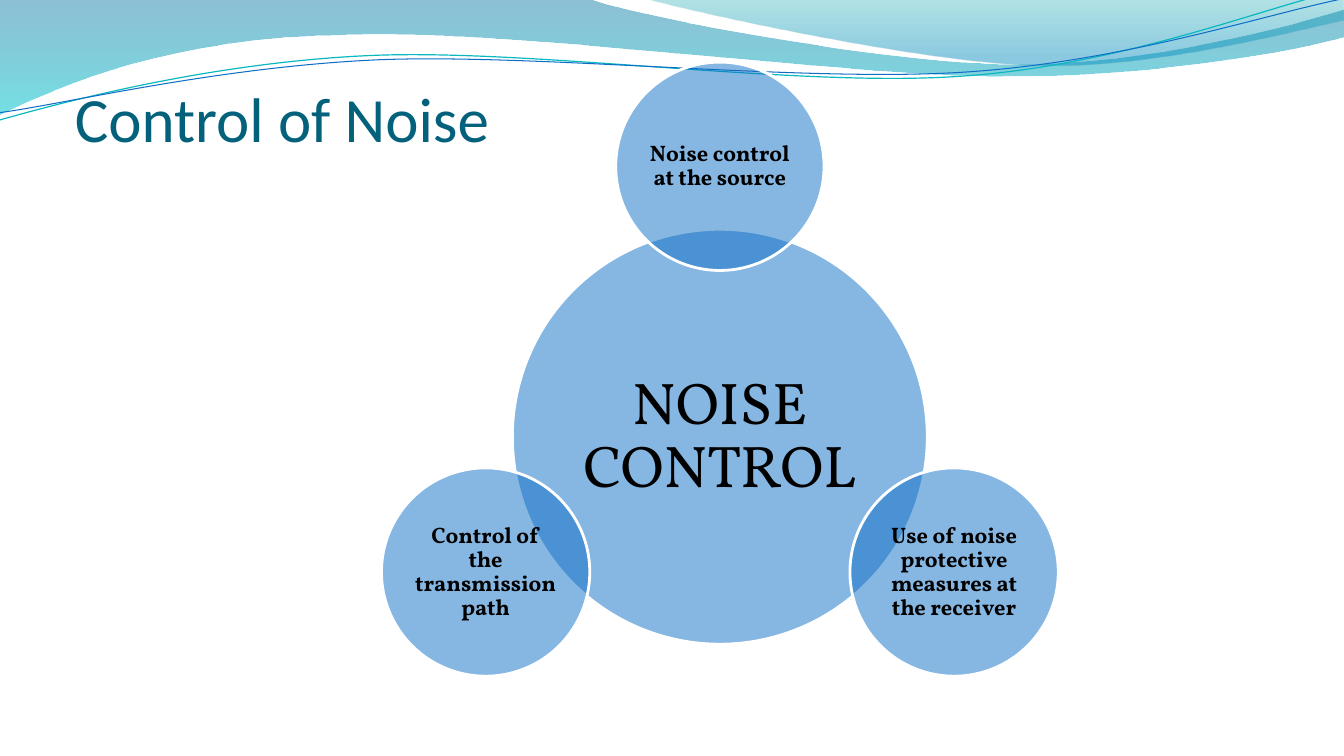
import math
from dataclasses import dataclass

import lxml.etree
import pptx
import pptx.dml.color
import pptx.enum.shapes
import pptx.enum.text
import pptx.oxml
import pptx.oxml.ns
import pptx.shapes.autoshape
import pptx.slide
import pptx.text.text
import pptx.util

WIDTH, HEIGHT = pptx.util.Inches(13.333), pptx.util.Inches(7.5)
COLS = 16
CELL = WIDTH / COLS

COLORS = {
    "title": "04617B", "text": "000000", "blue": "0F6FC6", "white": "FFFFFF",
    "teal": "0AB8BF", "wave_top": "0074A1", "wave_low": "00C6CF",
    "crest_top": "00A1A9", "crest_low": "008BBF",
}

Point = tuple[float, float]


@dataclass(frozen=True)
class Stop:
    position: int
    color: str
    opacity: int


@dataclass(frozen=True)
class Wave:
    start: Point
    segments: list[tuple[float, ...]]
    stops: tuple[Stop, ...] = ()
    line: str = ""
    weight: float = 0


@dataclass(frozen=True)
class Circle:
    text: str
    radius: float
    distance: float
    angle: float
    size: float
    bold: bool
    inset: float


WAVES = [
    Wave((0, 0), [
        (7.04, -0.01), (7.61, 0.2, 10.62, 0.76, 12.13, 0.76),
        (13.66, 0.76, 15.34, 0.31, 16, 0.11), (16.02, 0.43),
        (15.73, 0.53, 13.92, 0.91, 11.93, 0.9),
        (9.95, 0.9, 6.11, 0.34, 4.12, 0.41),
        (2.06, 0.43, 0.73, 1, -0.01, 1.36),
    ], stops=(Stop(0, "wave_top", 45), Stop(100, "wave_low", 55))),
    Wave((7.67, -0.01), [
        (8.15, 0.13, 10.91, 0.74, 12.3, 0.78),
        (13.69, 0.83, 15.38, 0.38, 16, 0.25), (16, 0),
    ], stops=(Stop(0, "crest_top", 30), Stop(80, "crest_low", 45))),
    Wave((-0.01, 1.43), [
        (0.77, 1.21, 2.53, 0.74, 4.43, 0.66),
        (6.32, 0.58, 9.48, 1.04, 11.4, 0.91),
        (13.32, 0.79, 15.02, 0.1, 15.97, -0.12),
    ], line="teal", weight=0.85),
    Wave((0, 1.34), [
        (0.76, 1.24, 2.62, 0.79, 4.54, 0.71),
        (6.44, 0.64, 9.55, 0.98, 11.46, 0.86),
        (13.38, 0.74, 15.06, 0.17, 16.01, -0.02),
    ], line="blue", weight=0.75),
]

CENTER: Point = (8.57, 5.2)
HUB, SATELLITE, ORBIT = 2.47, 1.24, 3.22
CIRCLES = [
    Circle("NOISE CONTROL", HUB, 0, 0, 42, False, 0.07),
    Circle("Noise control at the source", SATELLITE, ORBIT, -90, 16, True, 0.02),
    Circle("Use of noise protective measures at the receiver",
           SATELLITE, ORBIT, 30, 16, True, 0.02),
    Circle("Control of the transmission path", SATELLITE, ORBIT, 150, 16, True, 0.02),
]


def grid(cells: float) -> int:
    return round(cells * CELL)


def rgb(name: str) -> pptx.dml.color.RGBColor:
    return pptx.dml.color.RGBColor.from_string(COLORS[name])


def set_text(tf: pptx.text.text.TextFrame, text: str, *, font: str, size: float,
             color: str, bold: bool = False, align: str = "CENTER",
             anchor: str = "MIDDLE", spacing: float = 1.0,
             insets: tuple[float, float] = (0, 0)) -> None:
    tf.word_wrap = True
    tf.auto_size = pptx.enum.text.MSO_AUTO_SIZE.NONE
    tf.vertical_anchor = pptx.enum.text.MSO_ANCHOR[anchor]
    tf.margin_left = tf.margin_right = grid(insets[0])
    tf.margin_top = tf.margin_bottom = grid(insets[1])
    p = tf.paragraphs[0]
    p.alignment = pptx.enum.text.PP_ALIGN[align]
    p.line_spacing = spacing
    r = p.add_run()
    r.text = text
    r.font.name = font
    r.font.size = pptx.util.Pt(size)
    r.font.bold = bold
    r.font.color.rgb = rgb(color)


def bend_segments(sp: pptx.shapes.autoshape.Shape, wave: Wave) -> None:
    lines = iter(sp.element.spPr.findall(".//" + pptx.oxml.ns.qn("a:lnTo")))
    for segment in wave.segments:
        first, *rest = [next(lines) for _ in range(len(segment) // 2)]
        if not rest:
            continue
        curve = lxml.etree.Element(pptx.oxml.ns.qn("a:cubicBezTo"))
        first.addprevious(curve)
        for line in (first, *rest):
            curve.append(line[0])
            line.getparent().remove(line)


def set_gradient(sp: pptx.shapes.autoshape.Shape, stops: tuple[Stop, ...]) -> None:
    sp.fill.gradient()
    gradient = sp.element.spPr.find(pptx.oxml.ns.qn("a:gradFill"))
    items = "".join(
        f'<a:gs pos="{stop.position * 1000}"><a:srgbClr val="{COLORS[stop.color]}">'
        f'<a:alpha val="{stop.opacity * 1000}"/></a:srgbClr></a:gs>' for stop in stops)
    gradient.getparent().replace(gradient, pptx.oxml.parse_xml(
        f'<a:gradFill {pptx.oxml.ns.nsdecls("a")} rotWithShape="1">'
        f'<a:gsLst>{items}</a:gsLst><a:lin ang="5400000" scaled="0"/></a:gradFill>'))


def draw_wave(s: pptx.slide.Slide, wave: Wave) -> None:
    points = [(grid(x), grid(y)) for segment in wave.segments
              for x, y in zip(segment[::2], segment[1::2])]
    builder = s.shapes.build_freeform(grid(wave.start[0]), grid(wave.start[1]))
    builder.add_line_segments(points, close=bool(wave.stops))
    sp = builder.convert_to_shape()
    bend_segments(sp, wave)
    sp.shadow.inherit = False
    if wave.stops:
        set_gradient(sp, wave.stops)
        sp.line.fill.background()
    else:
        sp.fill.background()
        sp.line.color.rgb = rgb(wave.line)
        sp.line.width = pptx.util.Pt(wave.weight)


def draw_circle(s: pptx.slide.Slide, circle: Circle) -> None:
    angle = math.radians(circle.angle)
    left = CENTER[0] + circle.distance * math.cos(angle) - circle.radius
    top = CENTER[1] + circle.distance * math.sin(angle) - circle.radius
    side = grid(2 * circle.radius)
    sp = s.shapes.add_shape(pptx.enum.shapes.MSO_SHAPE.OVAL,
                            grid(left), grid(top), side, side)
    sp.shadow.inherit = False
    sp.fill.solid()
    sp.fill.fore_color.rgb = rgb("blue")
    color = sp.element.spPr.find(".//" + pptx.oxml.ns.qn("a:srgbClr"))
    lxml.etree.SubElement(color, pptx.oxml.ns.qn("a:alpha"), val="50000")
    sp.line.color.rgb = rgb("white")
    sp.line.width = pptx.util.Pt(2)
    set_text(sp.text_frame, circle.text, font="Vollkorn", size=circle.size,
             color="text", bold=circle.bold, spacing=0.9,
             insets=(circle.inset, circle.inset))


def draw_title(s: pptx.slide.Slide) -> None:
    title = s.shapes.title
    title.left, title.top, title.width, title.height = map(grid, (0.89, 0.8, 11.27, 1.05))
    set_text(title.text_frame, "Control of Noise", font="Calibri", size=45,
             color="title", align="LEFT", anchor="BOTTOM", insets=(0, 0.06))
    title.text_frame.margin_bottom = 0
    title.element.getparent().append(title.element)


def main() -> None:
    prs = pptx.Presentation()
    prs.slide_width, prs.slide_height = WIDTH, HEIGHT
    s = prs.slides.add_slide(prs.slide_layouts[5])
    for wave in WAVES:
        draw_wave(s, wave)
    draw_title(s)
    for circle in CIRCLES:
        draw_circle(s, circle)
    prs.save("out.pptx")


if __name__ == "__main__":
    main()
